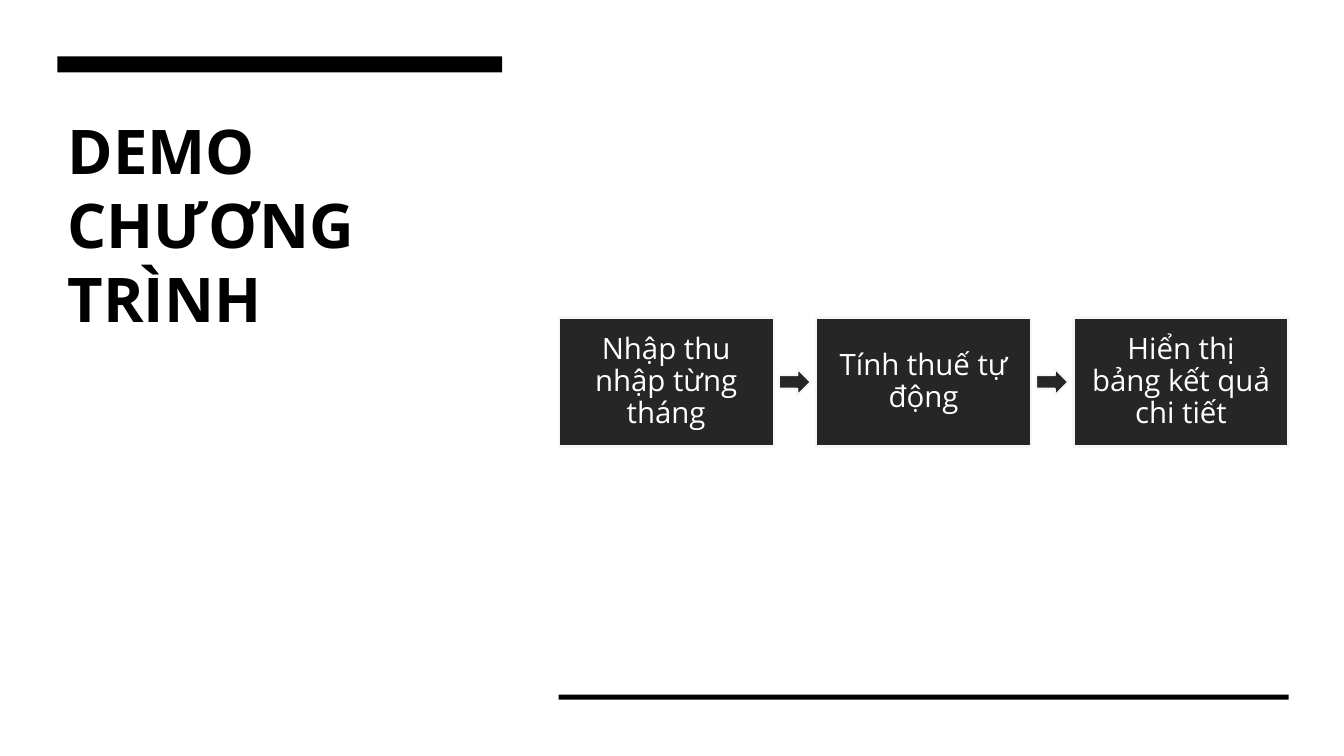
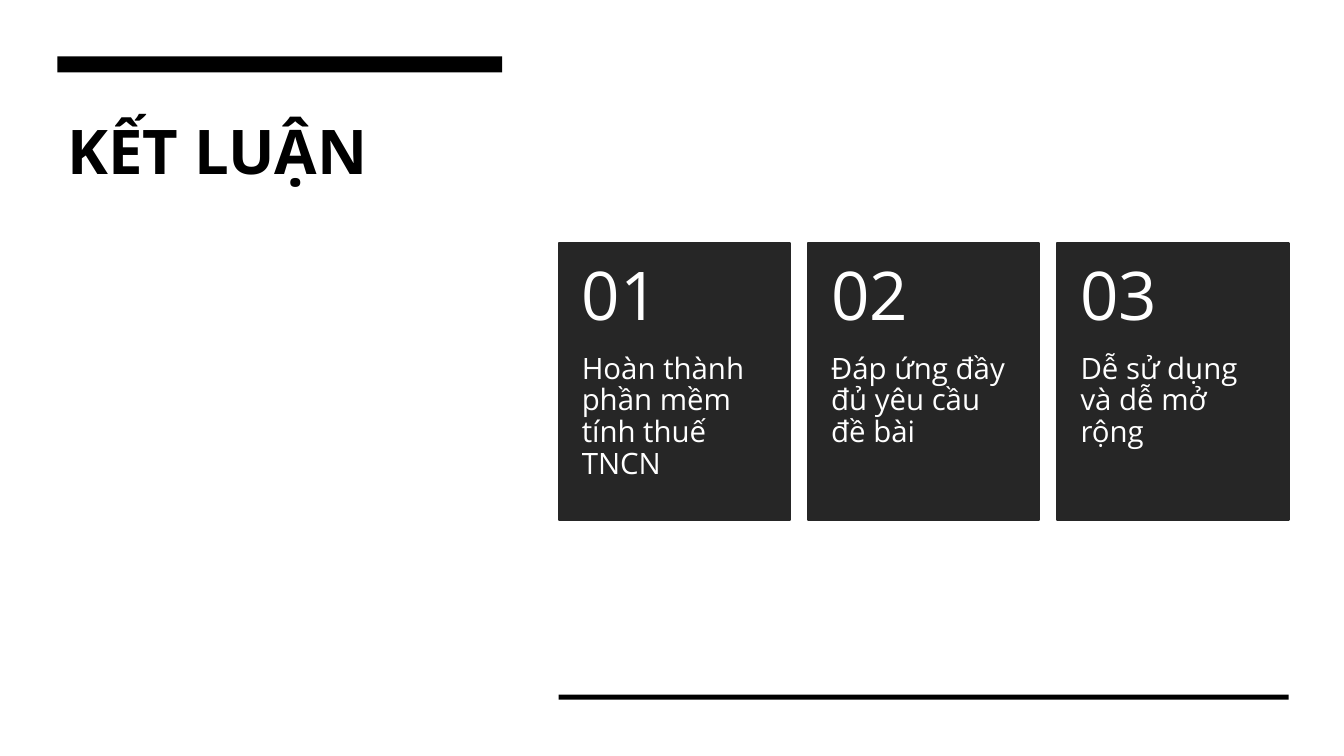
from dataclasses import dataclass

from pptx import Presentation
from pptx.dml.color import RGBColor
from pptx.enum.shapes import MSO_SHAPE
from pptx.enum.text import MSO_ANCHOR, MSO_AUTO_SIZE, PP_ALIGN
from pptx.util import Inches, Pt

RECT, ARROW = MSO_SHAPE.RECTANGLE, MSO_SHAPE.RIGHT_ARROW
TOP, MIDDLE = MSO_ANCHOR.TOP, MSO_ANCHOR.MIDDLE
LEFT, CENTER = PP_ALIGN.LEFT, PP_ALIGN.CENTER
NO_AUTOFIT = MSO_AUTO_SIZE.NONE
TITLE_ONLY = 5


@dataclass(frozen=True)
class Theme:
    font: str = "Open Sans"
    ink: RGBColor = RGBColor(0x00, 0x00, 0x00)
    panel: RGBColor = RGBColor(0x26, 0x26, 0x26)
    edge: RGBColor = RGBColor(0xF7, 0xF7, 0xF7)
    paper: RGBColor = RGBColor(0xFF, 0xFF, 0xFF)
    title_size: int = 44
    number_size: int = 48
    body_size: int = 21
    title_spacing: float = 1.0
    body_spacing: float = 0.9
    line_width: float = 1.5


THEME = Theme()
TITLE_BOX = (0.57, 1.07, 4.41, 3.68)
TOP_BAR = (0.57, 0.56, 4.41, 0.16)
BOTTOM_BAR = (5.54, 6.89, 7.24, 0.05)
STEPS_BOX = (5.54, 3.15, 7.24, 1.28)
CARDS_BOX = (5.54, 2.41, 7.24, 2.75)

STEPS = ["Nhập thu nhập từng tháng", "Tính thuế tự động", "Hiển thị bảng kết quả chi tiết"]
CONCLUSIONS = [
    "Hoàn thành phần mềm tính thuế TNCN",
    "Đáp ứng đầy đủ yêu cầu đề bài",
    "Dễ sử dụng và dễ mở rộng",
]


def inches(box):
    return [Inches(v) for v in box]


def add_block(slide, kind, box, fill, line=None):
    sp = slide.shapes.add_shape(kind, *inches(box))
    sp.shadow.inherit = False
    sp.fill.solid()
    sp.fill.fore_color.rgb = fill
    if line is None:
        sp.line.fill.background()
    else:
        sp.line.color.rgb = line
        sp.line.width = Pt(THEME.line_width)
    return sp


def set_text(sp, text, size, color, insets, spacing=THEME.body_spacing,
             align=LEFT, anchor=TOP, bold=False):
    tf = sp.text_frame
    tf.text = text
    tf.word_wrap = True
    tf.auto_size = NO_AUTOFIT
    tf.vertical_anchor = anchor
    tf.margin_left, tf.margin_top, tf.margin_right, tf.margin_bottom = inches(insets)
    p = tf.paragraphs[0]
    p.alignment = align
    p.line_spacing = spacing
    font = p.runs[0].font
    font.name, font.size, font.bold = THEME.font, Pt(size), bold
    font.color.rgb = color


def columns(box, count, gap):
    left, top, width, height = box
    col = (width - gap * (count - 1)) / count
    return [(left + i * (col + gap), top, col, height) for i in range(count)]


def add_titled_slide(prs, title):
    slide = prs.slides.add_slide(prs.slide_layouts[TITLE_ONLY])
    sp = slide.shapes.title
    sp.left, sp.top, sp.width, sp.height = inches(TITLE_BOX)
    set_text(sp, title, THEME.title_size, THEME.ink, (0.1, 0.05, 0.1, 0.05),
             spacing=THEME.title_spacing, bold=True)
    for bar in (TOP_BAR, BOTTOM_BAR):
        add_block(slide, RECT, bar, THEME.ink)
    return slide


def add_process(slide, box, steps):
    gap, arrow_w, arrow_h = 0.42, 0.32, 0.27
    for i, (step, cell) in enumerate(zip(steps, columns(box, len(steps), gap))):
        left, top, width, height = cell
        if i:
            arrow = (left - (gap + arrow_w) / 2, top + (height - arrow_h) / 2, arrow_w, arrow_h)
            add_block(slide, ARROW, arrow, THEME.panel, THEME.edge)
        sp = add_block(slide, RECT, cell, THEME.panel, THEME.edge)
        set_text(sp, step, THEME.body_size, THEME.paper, (0.17, 0.17, 0.17, 0.17),
                 align=CENTER, anchor=MIDDLE)


def add_cards(slide, box, texts):
    number_share = 0.4
    for i, (text, cell) in enumerate(zip(texts, columns(box, len(texts), 0.18)), 1):
        left, top, width, height = cell
        number_h = height * number_share
        add_block(slide, RECT, cell, THEME.panel, THEME.panel)
        number = slide.shapes.add_textbox(*inches((left, top, width, number_h)))
        set_text(number, f"{i:02}", THEME.number_size, THEME.paper,
                 (0.23, 0.18, 0.23, 0.18), anchor=MIDDLE)
        body = slide.shapes.add_textbox(
            *inches((left, top + number_h, width, height - number_h)))
        set_text(body, text, THEME.body_size, THEME.paper, (0.23, 0, 0.23, 0.36))


def main():
    prs = Presentation()
    prs.slide_width, prs.slide_height = Inches(13.33), Inches(7.5)
    add_process(add_titled_slide(prs, "DEMO CHƯƠNG TRÌNH"), STEPS_BOX, STEPS)
    add_cards(add_titled_slide(prs, "KẾT LUẬN"), CARDS_BOX, CONCLUSIONS)
    prs.save("out.pptx")


if __name__ == "__main__":
    main()
